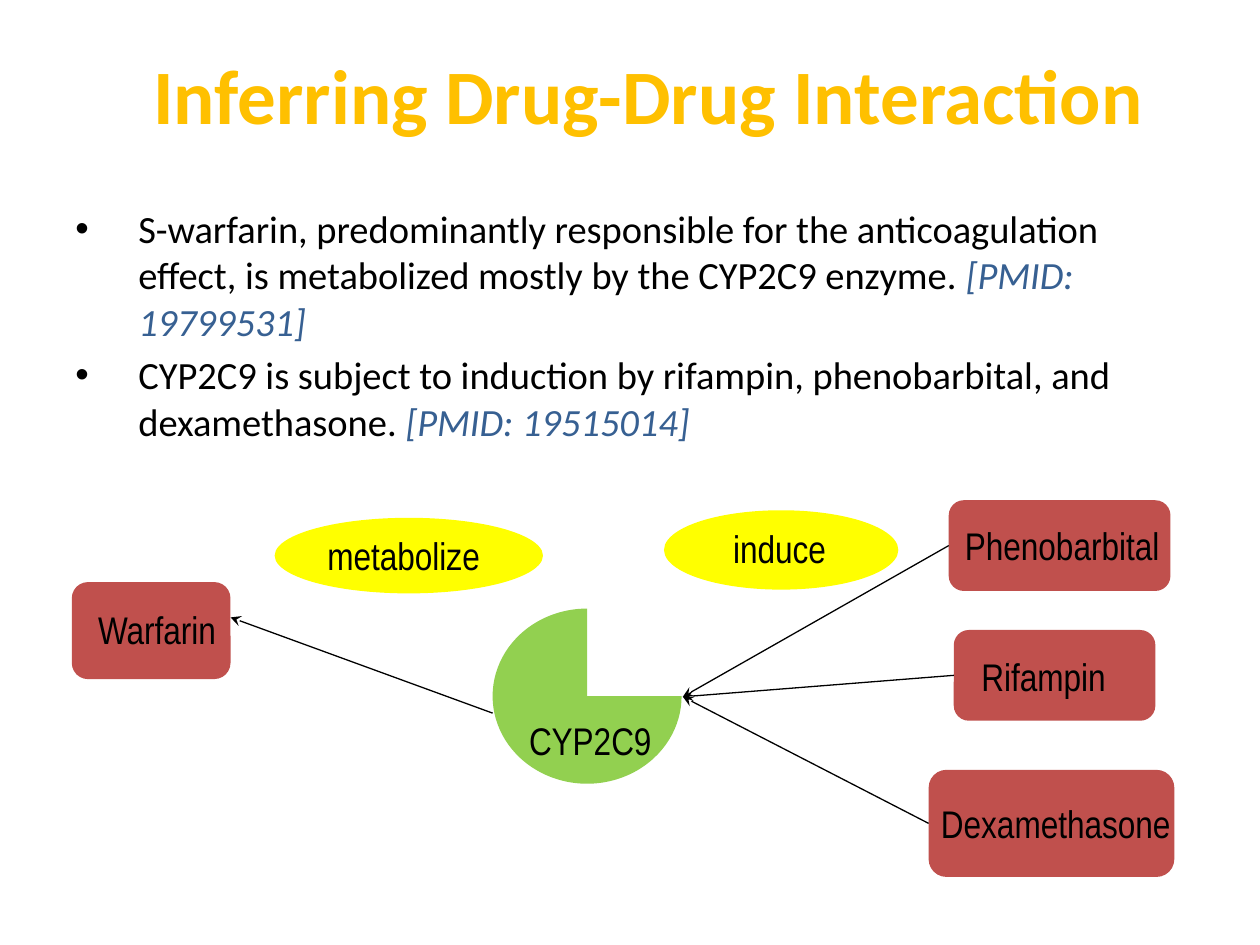
from lxml.etree import SubElement
from pptx import Presentation
from pptx.dml.color import RGBColor
from pptx.enum.shapes import MSO_CONNECTOR, MSO_SHAPE
from pptx.enum.text import MSO_ANCHOR, PP_ALIGN
from pptx.oxml.ns import qn
from pptx.util import Inches, Pt

COLORS = {
    "title": "FFC000",
    "text": "000000",
    "citation": "376092",
    "drug": "C0504D",
    "enzyme": "92D050",
    "relation": "FFFF00",
}
BODY_FONT = "Calibri"
LABEL_FONT = "Arial Narrow"
LEFT_SIDE = 1

FACTS = [
    ("S-warfarin, predominantly responsible for the anticoagulation effect, "
     "is metabolized mostly by the CYP2C9 enzyme. ", "[PMID: 19799531]"),
    ("CYP2C9 is subject to induction by rifampin, phenobarbital, "
     "and dexamethasone. ", "[PMID: 19515014]"),
]

# Each node: name, shape box, label box
SUBSTRATE = ("Warfarin", (0.57, 4.62, 1.26, 0.77), (0.68, 4.76, 1.53, 0.47))
ENZYME = ("CYP2C9", (3.91, 4.83, 1.5, 1.39), (4.1, 5.64, 1.52, 0.47))
INDUCERS = [
    ("Phenobarbital", (7.53, 3.97, 1.76, 0.72), (7.56, 4.09, 1.86, 0.47)),
    ("Rifampin", (7.57, 5, 1.6, 0.72), (7.69, 5.13, 1.48, 0.47)),
    ("Dexamethasone", (7.37, 6.11, 1.95, 0.85), (7.37, 6.3, 2.04, 0.47)),
]
RELATIONS = [
    ("metabolize", (2.18, 4.11, 2.13, 0.6), (2.5, 4.17, 1.6, 0.47)),
    ("induce", (5.27, 4.05, 1.86, 0.63), (5.72, 4.12, 1.53, 0.47)),
]
ENZYME_SITE = (5.42, 5.53)


def rgb(name):
    return RGBColor.from_string(COLORS[name])


def style_font(font, size, face, color):
    font.size = Pt(size)
    font.name = face
    font.color.rgb = rgb(color)


def add_text_box(page, bounds):
    box = page.shapes.add_textbox(*map(Inches, bounds))
    box.text_frame.word_wrap = True
    return box.text_frame


def add_title(page, text):
    frame = add_text_box(page, (0.67, 0, 8.96, 1.49))
    frame.vertical_anchor = MSO_ANCHOR.MIDDLE
    para = frame.paragraphs[0]
    para.text = text
    para.alignment = PP_ALIGN.CENTER
    style_font(para.font, 44, BODY_FONT, "title")
    para.font.bold = True


def add_bullet(para):
    props = para._p.get_or_add_pPr()
    props.set("marL", str(Inches(0.5)))
    props.set("indent", str(Inches(-0.5)))
    SubElement(props, qn("a:buFont"), typeface="Arial")
    SubElement(props, qn("a:buChar"), char="•")


def add_facts(page):
    frame = add_text_box(page, (0.5, 1.58, 9, 5.5))
    for index, (statement, citation) in enumerate(FACTS):
        para = frame.add_paragraph() if index else frame.paragraphs[0]
        para.space_before = Pt(4.4)
        add_bullet(para)
        for text, color in ((statement, "text"), (citation, "citation")):
            span = para.add_run()
            span.text = text
            style_font(span.font, 22, BODY_FONT, color)
            span.font.italic = color == "citation"


def add_node(page, node, kind, color):
    name, bounds, label_bounds = node
    shape = page.shapes.add_shape(kind, *map(Inches, bounds))
    shape.shadow.inherit = False
    shape.fill.solid()
    shape.fill.fore_color.rgb = rgb(color)
    shape.line.fill.background()
    para = add_text_box(page, label_bounds).paragraphs[0]
    para.text = name
    style_font(para.font, 22, LABEL_FONT, "text")
    return shape


def add_arrow(page, start, end):
    arrow = page.shapes.add_connector(
        MSO_CONNECTOR.STRAIGHT, *map(Inches, start + end))
    arrow.line.color.rgb = rgb("text")
    arrow.line.width = Pt(0.75)
    SubElement(arrow.line._get_or_add_ln(), qn("a:tailEnd"), type="stealth")
    SubElement(arrow._element.spPr, qn("a:effectLst"))
    return arrow


def main():
    deck = Presentation()
    deck.slide_width, deck.slide_height = Inches(10), Inches(7.5)
    page = deck.slides.add_slide(deck.slide_layouts[6])

    # Title and findings
    add_title(page, "Inferring Drug-Drug Interaction")
    add_facts(page)

    # Enzyme and the drug it metabolizes
    add_node(page, SUBSTRATE, MSO_SHAPE.ROUNDED_RECTANGLE, "drug")
    add_node(page, ENZYME, MSO_SHAPE.PIE, "enzyme")
    add_arrow(page, (3.91, 5.66), (1.83, 4.9))

    # Inducers, each pointing at the enzyme
    for inducer in INDUCERS:
        drug = add_node(page, inducer, MSO_SHAPE.ROUNDED_RECTANGLE, "drug")
        left, top, _, height = inducer[1]
        arrow = add_arrow(page, (left, top + height / 2), ENZYME_SITE)
        arrow.begin_connect(drug, LEFT_SIDE)

    # Relation names
    for relation in RELATIONS:
        add_node(page, relation, MSO_SHAPE.OVAL, "relation")

    deck.save("out.pptx")


if __name__ == "__main__":
    main()
